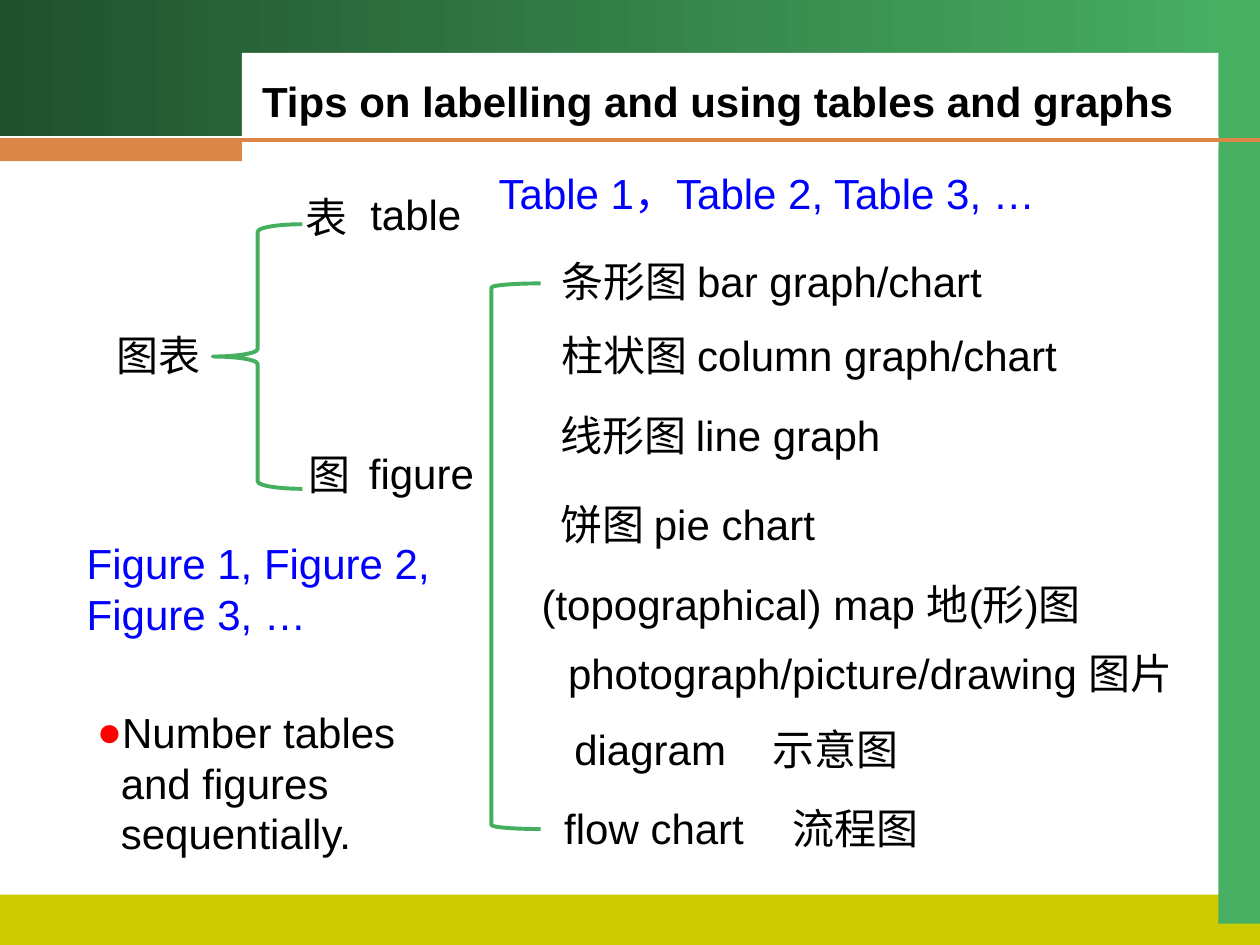
from lxml.etree import SubElement
from pptx import Presentation
from pptx.dml.color import RGBColor
from pptx.enum.shapes import MSO_CONNECTOR, MSO_SHAPE
from pptx.enum.text import MSO_ANCHOR, MSO_AUTO_SIZE, PP_ALIGN
from pptx.oxml.ns import qn
from pptx.util import Inches, Pt

COLORS = {
    "dark_green": "21512E", "light_green": "48B063", "bracket": "44AF5F",
    "yellow": "CCCC00", "orange": "DB8647", "white": "FFFFFF",
    "black": "000000", "blue": "0000FF", "red": "FF0000",
}
LINE_HEIGHT = 0.5


def color(name):
    return RGBColor.from_string(COLORS[name])


def format_text(shape, text, color_name="black", bold=False, wrap=False,
                auto_size=MSO_AUTO_SIZE.NONE, bullet=None):
    frame = shape.text_frame
    frame.word_wrap = wrap
    frame.auto_size = auto_size
    frame.vertical_anchor = MSO_ANCHOR.TOP
    paragraph = frame.paragraphs[0]
    paragraph.alignment = PP_ALIGN.LEFT
    if bullet:
        add_bullet(paragraph, bullet)
    run = paragraph.add_run()
    run.text = text
    run.font.name = "Arial"
    run.font.size = Pt(24)
    run.font.bold = bold
    run.font.color.rgb = color(color_name)


def add_bullet(paragraph, character, indent=0.19):
    properties = paragraph._p.get_or_add_pPr()
    properties.set("marL", str(Inches(indent)))
    properties.set("indent", str(-Inches(indent)))
    bullet_color = SubElement(properties, qn("a:buClr"))
    SubElement(bullet_color, qn("a:srgbClr"), val=COLORS["red"])
    SubElement(properties, qn("a:buFont"), typeface="Arial")
    SubElement(properties, qn("a:buChar"), char=character)


def add_text(slide, text, left, top, width, height=LINE_HEIGHT, **text_format):
    shape = slide.shapes.add_textbox(Inches(left), Inches(top),
                                     Inches(width), Inches(height))
    format_text(shape, text, **text_format)


def add_block(slide, left, top, width, height, fill):
    block = slide.shapes.add_shape(MSO_SHAPE.RECTANGLE, Inches(left), Inches(top),
                                   Inches(width), Inches(height))
    block.shadow.inherit = False
    block.line.fill.background()
    block.fill.solid()
    block.fill.fore_color.rgb = color(fill)
    return block


def add_bracket(slide, kind, left, top, width, height):
    bracket = slide.shapes.add_shape(kind, Inches(left), Inches(top),
                                     Inches(width), Inches(height))
    bracket.shadow.inherit = False
    bracket.fill.background()
    bracket.line.color.rgb = color("bracket")
    bracket.line.width = Pt(2.25)


def add_frame(slide, width, height):
    # Gradient banner across the top
    banner = add_block(slide, 0, 0, width, 1.08, "dark_green")
    banner.fill.gradient()
    banner.fill.gradient_angle = 0
    for stop, name in zip(banner.fill.gradient_stops, ("dark_green", "light_green")):
        stop.color.rgb = color(name)

    # Bottom and side bars, title panel
    add_block(slide, 0, height - 0.4, width, 0.4, "yellow")
    add_block(slide, width - 0.33, 0.25, 0.33, 7.08, "light_green")
    add_block(slide, 1.92, 0.42, width - 2.25, 0.75, "white")

    # Orange rule with its thick left end
    rule = slide.shapes.add_connector(MSO_CONNECTOR.STRAIGHT, 0, Inches(1.11),
                                      Inches(width), Inches(1.11))
    rule.line.color.rgb = color("orange")
    rule.line.width = Pt(2.25)
    SubElement(rule.element.spPr, qn("a:effectLst"))
    add_block(slide, 0, 1.11, 1.92, 0.17, "orange")


def add_title(slide, text, left, top, width, height):
    title = slide.shapes.title
    title.left, title.top = Inches(left), Inches(top)
    title.width, title.height = Inches(width), Inches(height)
    format_text(title, text, bold=True)
    slide.shapes.element.append(title.element)  # in front of the banner


def add_main_branch(slide, left, top):
    """Charts split into tables and figures."""
    add_text(slide, "图表", left, top + 1.12, 0.9)
    add_bracket(slide, MSO_SHAPE.LEFT_BRACE, left + 0.86, top + 0.33, 0.71, 2.1)
    add_text(slide, "表", left + 1.5, top + 0.02, 0.55)
    add_text(slide, "table", left + 2.01, top, 0.95)
    add_text(slide, "图", left + 1.52, top + 2.06, 0.55)
    add_text(slide, "figure", left + 2, top + 2.05, 1.07)


def add_figure_types(slide, left, top):
    """Kinds of figure: each row is a list of (text, x, width) at one y."""
    add_bracket(slide, MSO_SHAPE.LEFT_BRACKET, left, top + 0.27, 0.39, 4.33)
    rows = [
        (0, [("条形图 bar graph/chart", 0.46, 3.66)]),
        (0.59, [("柱状图 column graph/chart", 0.46, 4.25)]),
        (1.22, [("线形图 line graph", 0.45, 2.86)]),
        (1.93, [("饼图 pie chart", 0.45, 2.34)]),
        (2.56, [("(topographical) map 地(形)图", 0.3, 4.92)]),
        (3.11, [("photograph/picture/drawing 图片", 0.51, 5.12)]),
        (3.71, [("diagram", 0.56, 1.45), ("示意图", 2.13, 1.24)]),
        (4.34, [("flow chart", 0.48, 1.76), ("流程图", 2.29, 1.24)]),
    ]
    for y, labels in rows:
        for text, x, width in labels:
            add_text(slide, text, left + x, top + y, width)


def add_numbering(slide):
    """Numbering examples and the rule behind them."""
    add_text(slide, "Table 1，Table 2, Table 3, …", 3.86, 1.28, 4.77,
             color_name="blue")
    add_text(slide, "Figure 1, Figure 2, Figure 3, …", 0.59, 4.22, 3.07, 0.9,
             color_name="blue", wrap=True)
    add_text(slide, "Number tables and figures sequentially.", 0.67, 5.56, 2.68, 1.7,
             wrap=True, bullet="●")


def main():
    presentation = Presentation()
    presentation.slide_width = Inches(10)
    presentation.slide_height = Inches(7.5)
    slide = presentation.slides.add_slide(
        presentation.slide_layouts.get_by_name("Title Only"))
    add_frame(slide, 10, 7.5)
    add_title(slide, "Tips on labelling and using tables and graphs",
              1.98, 0.55, 7.53, LINE_HEIGHT)
    add_main_branch(slide, 0.83, 1.45)
    add_figure_types(slide, 3.9, 1.98)
    add_numbering(slide)
    presentation.save("out.pptx")


if __name__ == "__main__":
    main()
